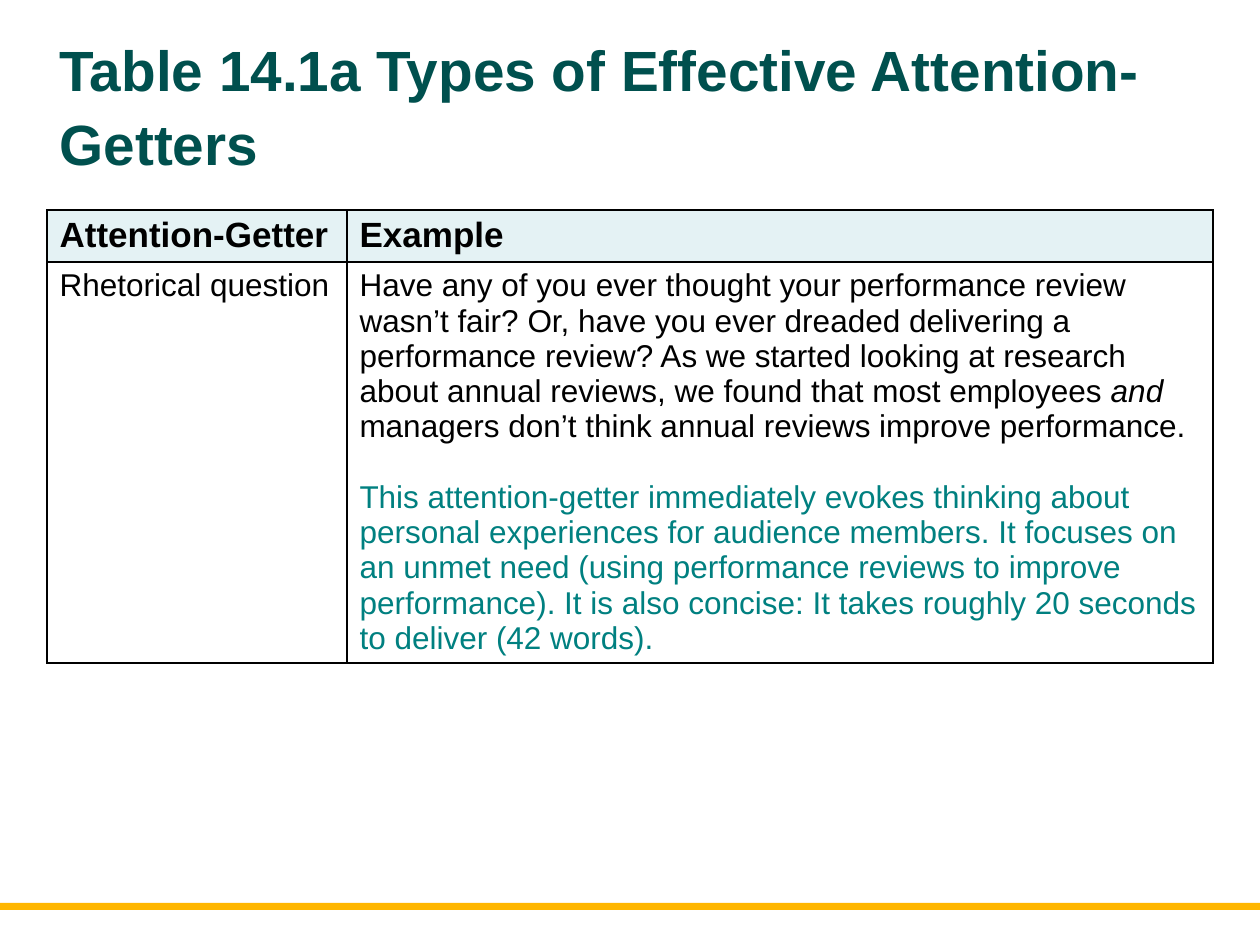
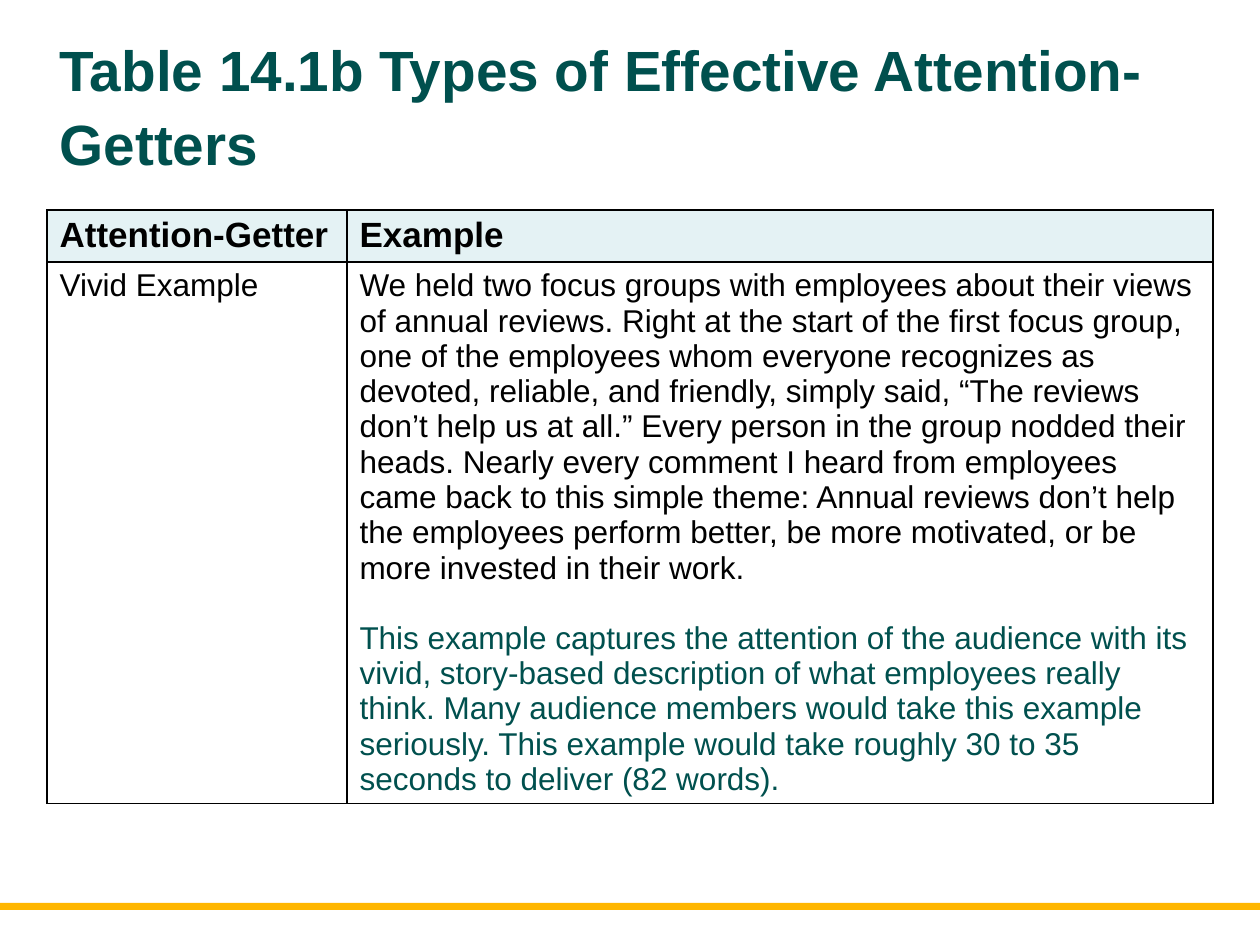
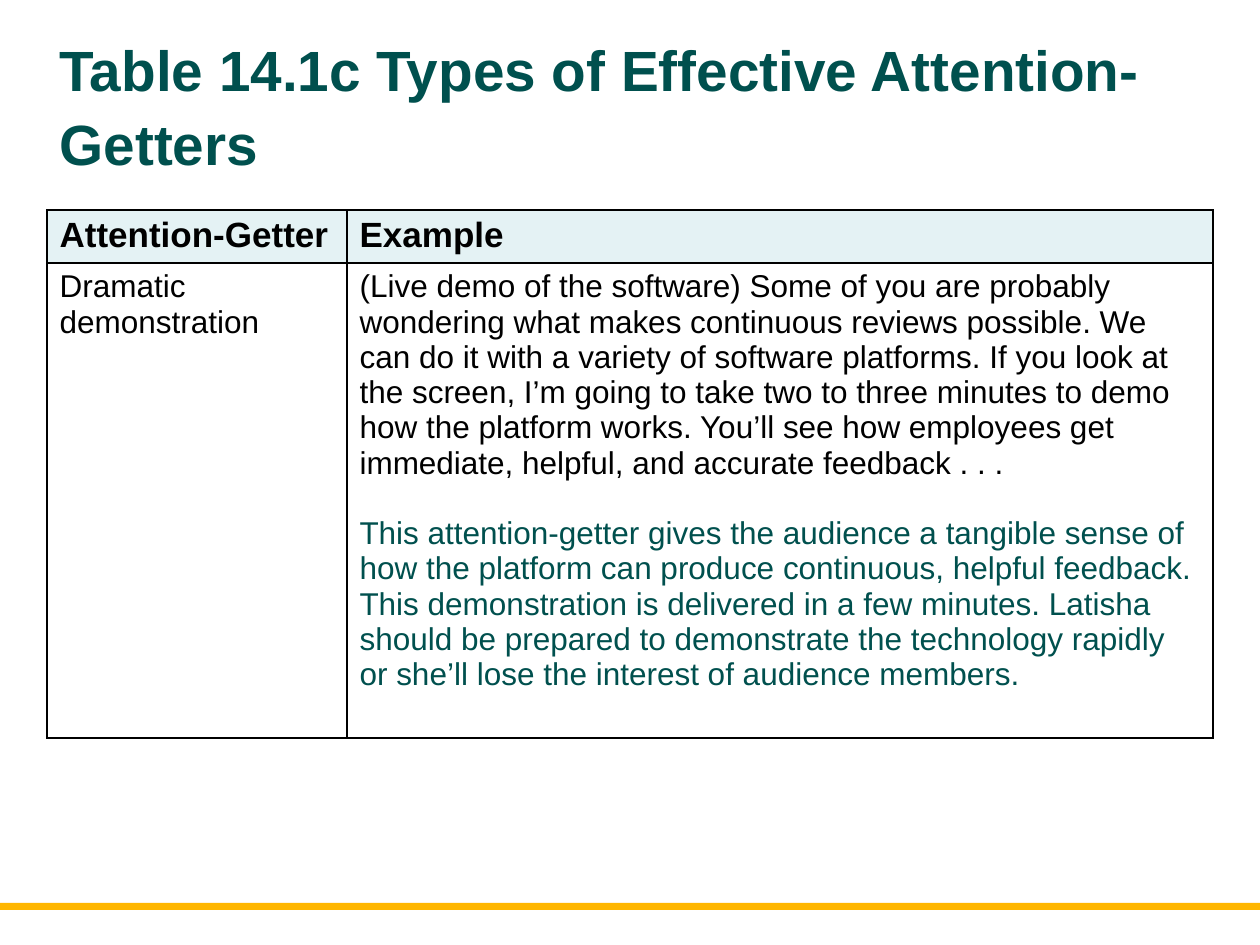
"""Build three slides on types of effective attention-getters."""
from lxml.etree import SubElement
from pptx import Presentation
from pptx.dml.color import RGBColor
from pptx.enum.shapes import MSO_SHAPE
from pptx.enum.text import MSO_ANCHOR, PP_ALIGN
from pptx.oxml.ns import qn
from pptx.util import Emu, Pt

SCALE = 914400 // 126
WIDTH, HEIGHT = 1260, 945
MARGIN = 47
COLUMNS = (300, 866)
HEADINGS = ("Attention-Getter", "Example")

DEEP_TEAL = RGBColor(0x00, 0x50, 0x4E)
TEAL = RGBColor(0x00, 0x80, 0x80)
AMBER = RGBColor(0xFF, 0xB6, 0x00)
PALE_BLUE = RGBColor(0xE4, 0xF2, 0xF4)
BLACK = RGBColor(0x00, 0x00, 0x00)


def px(length):
    return Emu(length * SCALE)


class Deck:
    def __init__(self):
        self.presentation = Presentation()
        self.presentation.slide_width = px(WIDTH)
        self.presentation.slide_height = px(HEIGHT)
        self.slide = None

    def new_slide(self, heading):
        layout = self.presentation.slide_layouts[5]
        self.slide = self.presentation.slides.add_slide(layout)
        self.band()
        self.title(heading)

    def band(self):
        band = self.slide.shapes.add_shape(
            MSO_SHAPE.RECTANGLE, 0, px(903), px(WIDTH), px(7))
        band.shadow.inherit = False
        band.fill.solid()
        band.fill.fore_color.rgb = AMBER
        band.line.fill.background()

    def title(self, heading):
        title = self.slide.shapes.title
        title.left, title.top = px(MARGIN), px(42)
        title.width, title.height = px(sum(COLUMNS)), px(121)
        frame = title.text_frame
        frame.word_wrap = True
        frame.vertical_anchor = MSO_ANCHOR.MIDDLE
        paragraph = frame.paragraphs[0]
        paragraph.alignment = PP_ALIGN.LEFT
        paragraph.line_spacing = 1.09
        self.run(paragraph, heading, 32.4, DEEP_TEAL, bold=True)

    def run(self, paragraph, text, size, color=BLACK, bold=False, italic=False):
        run = paragraph.add_run()
        run.text = text
        font = run.font
        font.name, font.size = "Arial", Pt(size)
        font.bold, font.italic = bold, italic
        font.color.rgb = color

    def borders(self, cell):
        properties = cell._tc.get_or_add_tcPr()
        for side in ("a:lnL", "a:lnR", "a:lnT", "a:lnB"):
            line = SubElement(properties, qn(side), w=str(Pt(1)))
            fill = SubElement(line, qn("a:solidFill"))
            SubElement(fill, qn("a:srgbClr"), val=str(BLACK))

    def table(self, heights, kind, example, comment, comment_color):
        table = self.slide.shapes.add_table(
            2, 2, px(MARGIN), px(210), px(sum(COLUMNS)), px(sum(heights))).table
        table.horz_banding = False
        for column, width in zip(table.columns, COLUMNS):
            column.width = px(width)
        for row, height in zip(table.rows, heights):
            row.height = px(height)
        for cell in table.iter_cells():
            self.borders(cell)
        for column, heading in enumerate(HEADINGS):
            head, body = table.cell(0, column), table.cell(1, column)
            head.fill.solid()
            head.fill.fore_color.rgb = PALE_BLUE
            body.fill.background()
            self.run(head.text_frame.paragraphs[0], heading, 20, bold=True)
        self.run(table.cell(1, 0).text_frame.paragraphs[0], kind, 18)
        frame = table.cell(1, 1).text_frame
        for text, italic in example:
            self.run(frame.paragraphs[0], text, 18, italic=italic)
        remark = frame.add_paragraph()
        remark.space_before = Pt(20.1)
        self.run(remark, comment, 18, comment_color)


TABLES = (
    ("a", (52, 401), "Rhetorical question",
     (("Have any of you ever thought your performance review wasn’t fair? "
       "Or, have you ever dreaded delivering a performance review? As we "
       "started looking at research about annual reviews, we found that "
       "most employees ", False),
      ("and", True),
      (" managers don’t think annual reviews improve performance.", False)),
     "This attention-getter immediately evokes thinking about personal "
     "experiences for audience members. It focuses on an unmet need (using "
     "performance reviews to improve performance). It is also concise: It "
     "takes roughly 20 seconds to deliver (42 words).", TEAL),
    ("b", (52, 541), "Vivid Example",
     (("We held two focus groups with employees about their views of annual "
       "reviews. Right at the start of the first focus group, one of the "
       "employees whom everyone recognizes as devoted, reliable, and "
       "friendly, simply said, “The reviews don’t help us at all.” Every "
       "person in the group nodded their heads. Nearly every comment I heard "
       "from employees came back to this simple theme: Annual reviews don’t "
       "help the employees perform better, be more motivated, or be more "
       "invested in their work.", False),),
     "This example captures the attention of the audience with its vivid, "
     "story-based description of what employees really think. Many audience "
     "members would take this example seriously. This example would take "
     "roughly 30 to 35 seconds to deliver (82 words).", DEEP_TEAL),
    ("c", (53, 475), "Dramatic demonstration",
     (("(Live demo of the software) Some of you are probably wondering what "
       "makes continuous reviews possible. We can do it with a variety of "
       "software platforms. If you look at the screen, I’m going to take two "
       "to three minutes to demo how the platform works. You’ll see how "
       "employees get immediate, helpful, and accurate feedback . . .", False),),
     "This attention-getter gives the audience a tangible sense of how the "
     "platform can produce continuous, helpful feedback. This demonstration "
     "is delivered in a few minutes. Latisha should be prepared to "
     "demonstrate the technology rapidly or she’ll lose the interest of "
     "audience members.", DEEP_TEAL),
)

deck = Deck()
for letter, *content in TABLES:
    deck.new_slide(f"Table 14.1{letter} Types of Effective Attention-Getters")
    deck.table(*content)
deck.presentation.save("out.pptx")
